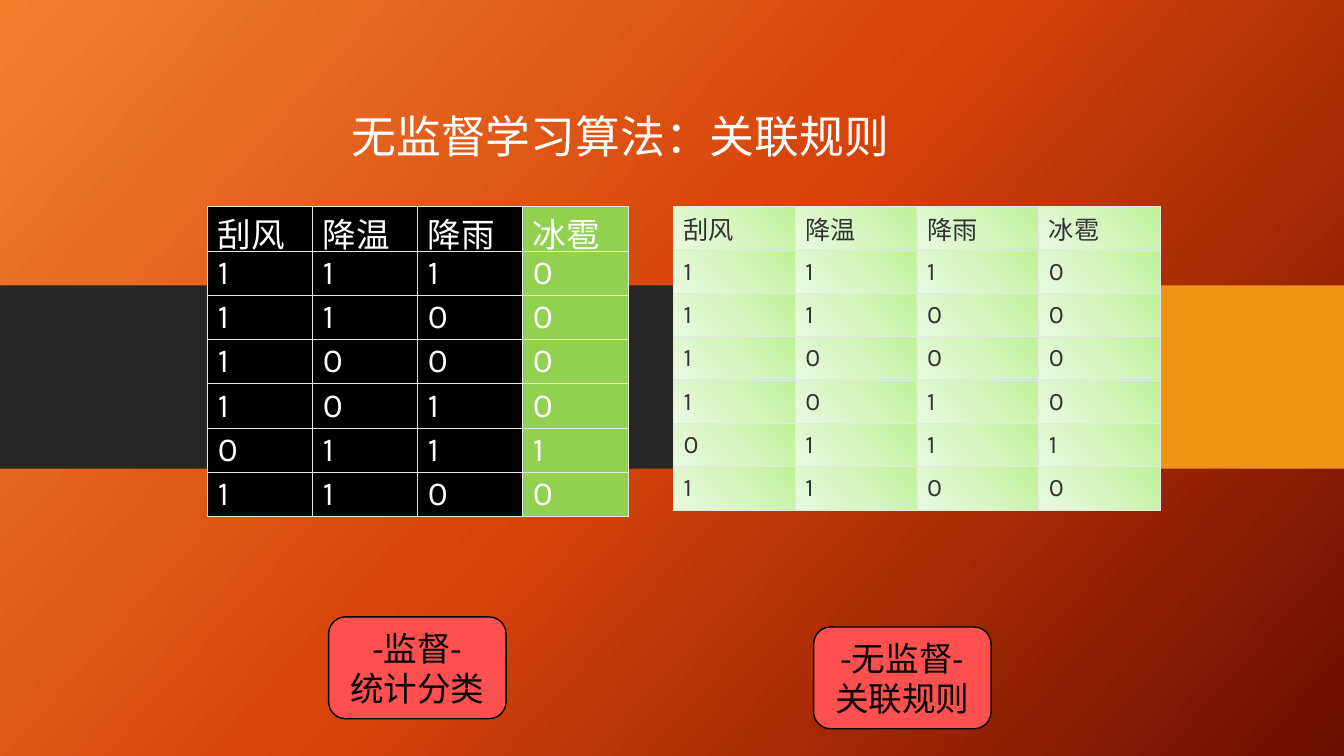
from lxml import etree
from pptx import Presentation
from pptx.dml.color import RGBColor
from pptx.enum.shapes import MSO_SHAPE
from pptx.enum.text import MSO_ANCHOR, PP_ALIGN
from pptx.oxml.ns import qn
from pptx.util import Inches, Pt

RECTANGLE, ROUNDED = MSO_SHAPE.RECTANGLE, MSO_SHAPE.ROUNDED_RECTANGLE
MIDDLE, CENTER = MSO_ANCHOR.MIDDLE, PP_ALIGN.CENTER

COLORS = {
    "white": "FFFFFF", "black": "000000", "ink": "333333",
    "band": "262626", "amber": "F09415", "label": "FF5050",
    "green": "92D050", "border": "E6E6E6",
}
BACKGROUND_STOPS = [(0, "F18031"), (50, "D54209"), (100, "6A0D00")]
CELL_STOPS = [(0, "BEF297"), (50, "D5F6C0"), (100, "EAFAE0")]
HEADERS = ["刮风", "降温", "降雨", "冰雹"]
OBSERVATIONS = ["1110", "1100", "1000", "1010", "0111", "1100"]


def gradient_fill(stops, direction, **attributes):
    gradient = etree.Element(qn("a:gradFill"), rotWithShape="1")
    stop_list = etree.SubElement(gradient, qn("a:gsLst"))
    for position, color in stops:
        stop = etree.SubElement(stop_list, qn("a:gs"), pos=str(position * 1000))
        etree.SubElement(stop, qn("a:srgbClr"), val=color)
    shading = etree.SubElement(gradient, qn(direction), **attributes)
    return gradient, shading


class SlideBuilder:
    chinese_font = "Noto Sans CJK SC"
    number_font = "Karla"

    def __init__(self, presentation):
        self.slide = presentation.slides.add_slide(presentation.slide_layouts[6])

    def color(self, name):
        return RGBColor.from_string(COLORS[name])

    def background(self):
        fill = self.slide.background.fill
        fill.solid()
        properties = self.slide.element.find(".//" + qn("p:bgPr"))
        gradient, _ = gradient_fill(BACKGROUND_STOPS, "a:lin", ang=str(42 * 60000), scaled="0")
        properties.replace(properties[0], gradient)

    def set_text(self, text_frame, text, size, color, font_name, align=None):
        text_frame.text = text
        for paragraph in text_frame.paragraphs:
            paragraph.alignment = align
            for run in paragraph.runs:
                run.font.size = Pt(size)
                run.font.name = font_name
                run.font.color.rgb = self.color(color)
                east_asian = etree.Element(qn("a:ea"), typeface=self.chinese_font)
                run.font._element.find(qn("a:latin")).addnext(east_asian)

    def shape(self, kind, left, top, width, height, fill, line=None):
        shape = self.slide.shapes.add_shape(
            kind, Inches(left), Inches(top), Inches(width), Inches(height))
        shape.shadow.inherit = False
        shape.fill.solid()
        shape.fill.fore_color.rgb = self.color(fill)
        if line:
            shape.line.color.rgb = self.color(line)
            shape.line.width = Pt(1)
        else:
            shape.line.fill.background()
        return shape

    def title(self, text, left, top, width, height):
        box = self.slide.shapes.add_textbox(
            Inches(left), Inches(top), Inches(width), Inches(height))
        box.text_frame.word_wrap = False
        self.set_text(box.text_frame, text, 32, "white", self.chinese_font, CENTER)

    def label(self, text, left, top):
        shape = self.shape(ROUNDED, left, top, 1.76, 1.01, "label", "black")
        shape.text_frame.vertical_anchor = MIDDLE
        self.set_text(shape.text_frame, text, 24, "black", self.chinese_font, CENTER)

    def cell_borders(self, cell):
        properties = cell._tc.get_or_add_tcPr()
        for side in ("a:lnL", "a:lnR", "a:lnT", "a:lnB"):
            line = etree.SubElement(properties, qn(side), w=str(Pt(0.75)))
            fill = etree.SubElement(line, qn("a:solidFill"))
            etree.SubElement(fill, qn("a:srgbClr"), val=COLORS["border"])

    def cell_gradient(self, cell):
        gradient, shading = gradient_fill(CELL_STOPS, "a:path", path="circle")
        etree.SubElement(shading, qn("a:fillToRect"), l="100000", b="100000")
        cell._tc.get_or_add_tcPr().append(gradient)

    def table(self, left, top, width, height, row_height, size, color, column_fills=None):
        rows = [HEADERS] + [list(values) for values in OBSERVATIONS]
        frame = self.slide.shapes.add_table(
            len(rows), len(HEADERS), Inches(left), Inches(top), Inches(width), Inches(height))
        table = frame.table
        table.first_row = table.horz_banding = False
        for row_index, values in enumerate(rows):
            table.rows[row_index].height = Inches(row_height)
            font_name = self.number_font if row_index else self.chinese_font
            for column_index, value in enumerate(values):
                cell = table.cell(row_index, column_index)
                cell.vertical_anchor = MIDDLE
                cell.margin_left = cell.margin_right = Inches(0.1)
                cell.margin_top = cell.margin_bottom = Inches(0.02)
                self.set_text(cell.text_frame, value, size, color, font_name)
                self.cell_borders(cell)
                if column_fills:
                    cell.fill.solid()
                    cell.fill.fore_color.rgb = self.color(column_fills[column_index])
                else:
                    self.cell_gradient(cell)
        # Rows shorter than the frame are stretched evenly to fill it
        frame.height = Inches(height)


def main():
    presentation = Presentation()
    presentation.slide_width = Inches(13.33)
    presentation.slide_height = Inches(7.5)
    builder = SlideBuilder(presentation)

    # Backdrop
    builder.background()
    builder.shape(RECTANGLE, 0, 2.83, 9.81, 1.82, "band")
    builder.shape(RECTANGLE, 9.96, 2.83, 3.37, 1.82, "amber")

    # Title
    builder.title("无监督学习算法：关联规则", 3.36, 1.03, 5.59, 0.64)

    # Unsupervised and supervised tables
    builder.table(6.68, 2.05, 4.83, 2.98, 0.43, 18, "ink")
    builder.table(2.06, 2.05, 4.17, 3.09, 0.23, 24, "white", ["black"] * 3 + ["green"])

    # Labels
    builder.label("-监督-\n统计分类", 3.26, 6.12)
    builder.label("-无监督-\n关联规则", 8.07, 6.22)

    presentation.save("out.pptx")


if __name__ == "__main__":
    main()
